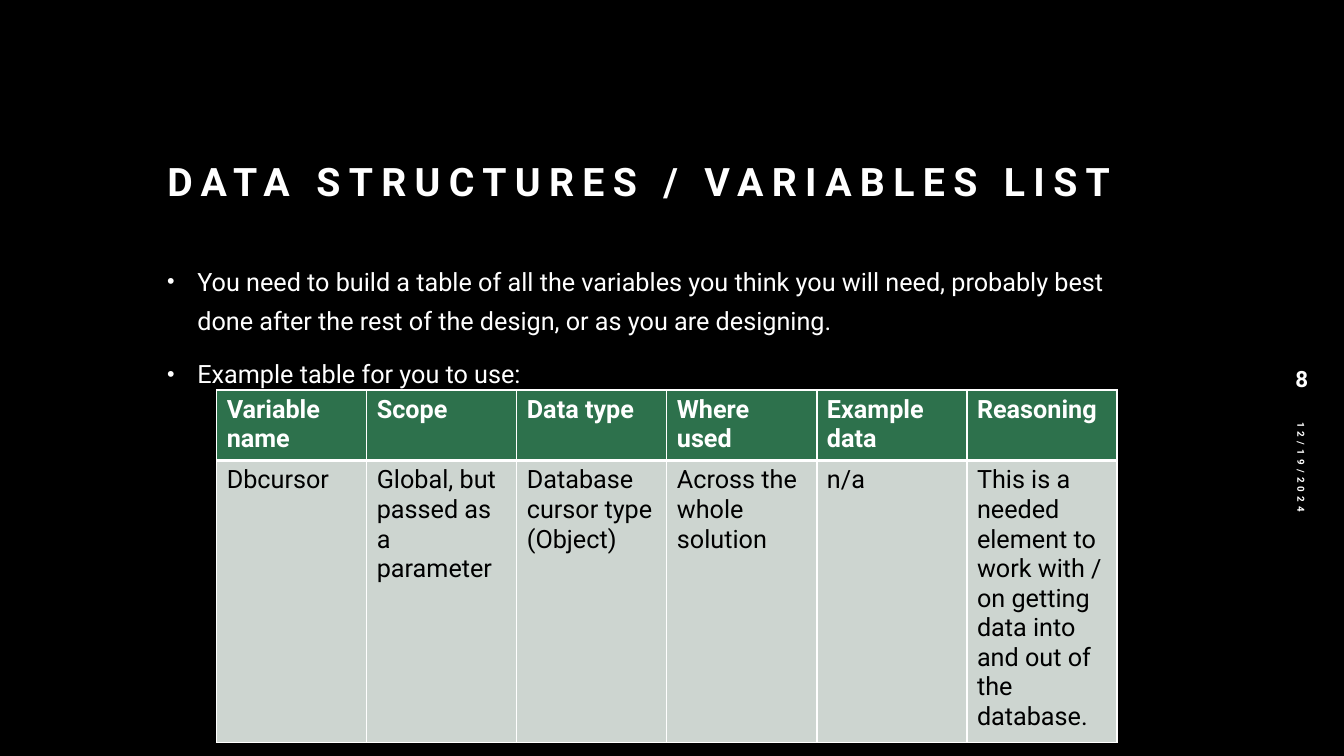
from lxml import etree
from pptx import Presentation
from pptx.dml.color import RGBColor
from pptx.enum import text as t
from pptx.oxml import ns
from pptx.util import Pt

BLACK = RGBColor(0x00, 0x00, 0x00)
WHITE = RGBColor(0xFF, 0xFF, 0xFF)
GREEN = RGBColor(0x2D, 0x71, 0x4C)
PALE_GREEN = RGBColor(0xCD, 0xD5, 0xD0)
FONT = "Roboto"

BULLETS = [
    "You need to build a table of all the variables you think you will need, "
    "probably best done after the rest of the design, or as you are designing.",
    "Example table for you to use:",
]
VARIABLES = [
    ["Variable name", "Scope", "Data type", "Where used", "Example data", "Reasoning"],
    ["Dbcursor", "Global, but passed as a parameter", "Database cursor type (Object)",
     "Across the whole solution", "n/a",
     "This is a needed element to work with / on getting data into and out of the database."],
]
COLUMN_WIDTH = 107.2
ROW_HEIGHT = 29.5


def add_run(paragraph, wording, size, color=WHITE, bold=False, spacing=0):
    """Add one run; spacing is the extra gap between letters in points."""
    run = paragraph.add_run()
    run.text = wording
    font = run.font
    font.name, font.size, font.bold = FONT, Pt(size), bold
    font.color.rgb = color
    if spacing:
        font._element.set("spc", str(spacing * 100))


def add_title(slide, wording):
    title = slide.shapes.title
    title.left, title.top, title.width, title.height = Pt(112.3), Pt(82), Pt(727.2), Pt(67.7)
    frame = title.text_frame
    frame.auto_size = t.MSO_AUTO_SIZE.NONE
    frame.vertical_anchor = t.MSO_ANCHOR.BOTTOM
    paragraph = frame.paragraphs[0]
    paragraph.alignment = t.PP_ALIGN.LEFT
    paragraph.line_spacing = 1.2
    add_run(paragraph, wording, 28, bold=True, spacing=6)


def add_text_area(slide, left, top, width, height, anchor):
    area = slide.shapes.add_textbox(Pt(left), Pt(top), Pt(width), Pt(height))
    area.text_frame.word_wrap = True
    area.text_frame.vertical_anchor = anchor
    return area


def set_bullet(paragraph, indent, percent):
    properties = paragraph._p.get_or_add_pPr()
    properties.set("marL", str(Pt(indent)))
    properties.set("indent", str(-Pt(indent)))
    etree.SubElement(properties, ns.qn("a:buSzPct"), val=str(percent * 1000))
    etree.SubElement(properties, ns.qn("a:buFont"), typeface="Arial")
    etree.SubElement(properties, ns.qn("a:buChar"), char="•")


def add_bullets(slide, wordings):
    frame = add_text_area(slide, 112.3, 180, 727.2, 300, t.MSO_ANCHOR.TOP).text_frame
    for index, wording in enumerate(wordings):
        paragraph = frame.add_paragraph() if index else frame.paragraphs[0]
        paragraph.line_spacing = 1.3
        paragraph.space_before = Pt(10)
        set_bullet(paragraph, 21.6, 85)
        add_run(paragraph, wording, 18)


def add_date(slide, wording):
    date = add_text_area(slide, 824.4, 385.2, 210.2, 28.8, t.MSO_ANCHOR.MIDDLE)
    date.rotation = 90
    add_run(date.text_frame.paragraphs[0], wording, 7, bold=True, spacing=3)


def add_slide_number(slide, wording):
    number = add_text_area(slide, 905, 253.4, 49.7, 33.8, t.MSO_ANCHOR.MIDDLE)
    paragraph = number.text_frame.paragraphs[0]
    paragraph.alignment = t.PP_ALIGN.CENTER
    add_run(paragraph, wording, 16, bold=True)


def set_borders(cell, bottom_width, top_width):
    """Draw white borders, which precede the fill in the cell's properties."""
    properties = cell._tc.get_or_add_tcPr()
    widths = {"a:lnL": 1, "a:lnR": 1, "a:lnT": top_width, "a:lnB": bottom_width}
    for index, (side, width) in enumerate(widths.items()):
        line = etree.Element(ns.qn(side), w=str(Pt(width)))
        fill = etree.SubElement(line, ns.qn("a:solidFill"))
        etree.SubElement(fill, ns.qn("a:srgbClr"), val=str(WHITE))
        properties.insert(index, line)


def add_variables_table(slide, rows):
    columns = len(rows[0])
    table = slide.shapes.add_table(
        len(rows), columns, Pt(154.8), Pt(278.6),
        Pt(COLUMN_WIDTH * columns), Pt(ROW_HEIGHT * len(rows))).table
    for column in table.columns:
        column.width = Pt(COLUMN_WIDTH)
    for row_index, wordings in enumerate(rows):
        header = row_index == 0
        for column_index, wording in enumerate(wordings):
            cell = table.cell(row_index, column_index)
            cell.fill.solid()
            cell.fill.fore_color.rgb = GREEN if header else PALE_GREEN
            set_borders(cell, 3 if header else 1, 1 if header else 3)
            add_run(cell.text_frame.paragraphs[0], wording, 18,
                    WHITE if header else BLACK, bold=header)


def main():
    deck = Presentation()
    deck.slide_width, deck.slide_height = Pt(960), Pt(540)
    slide = deck.slides.add_slide(deck.slide_layouts[5])
    slide.background.fill.solid()
    slide.background.fill.fore_color.rgb = BLACK
    add_title(slide, "DATA STRUCTURES / VARIABLES LIST")
    add_bullets(slide, BULLETS)
    add_date(slide, "12/19/2024")
    add_slide_number(slide, "8")
    add_variables_table(slide, VARIABLES)
    deck.save("out.pptx")


if __name__ == "__main__":
    main()
